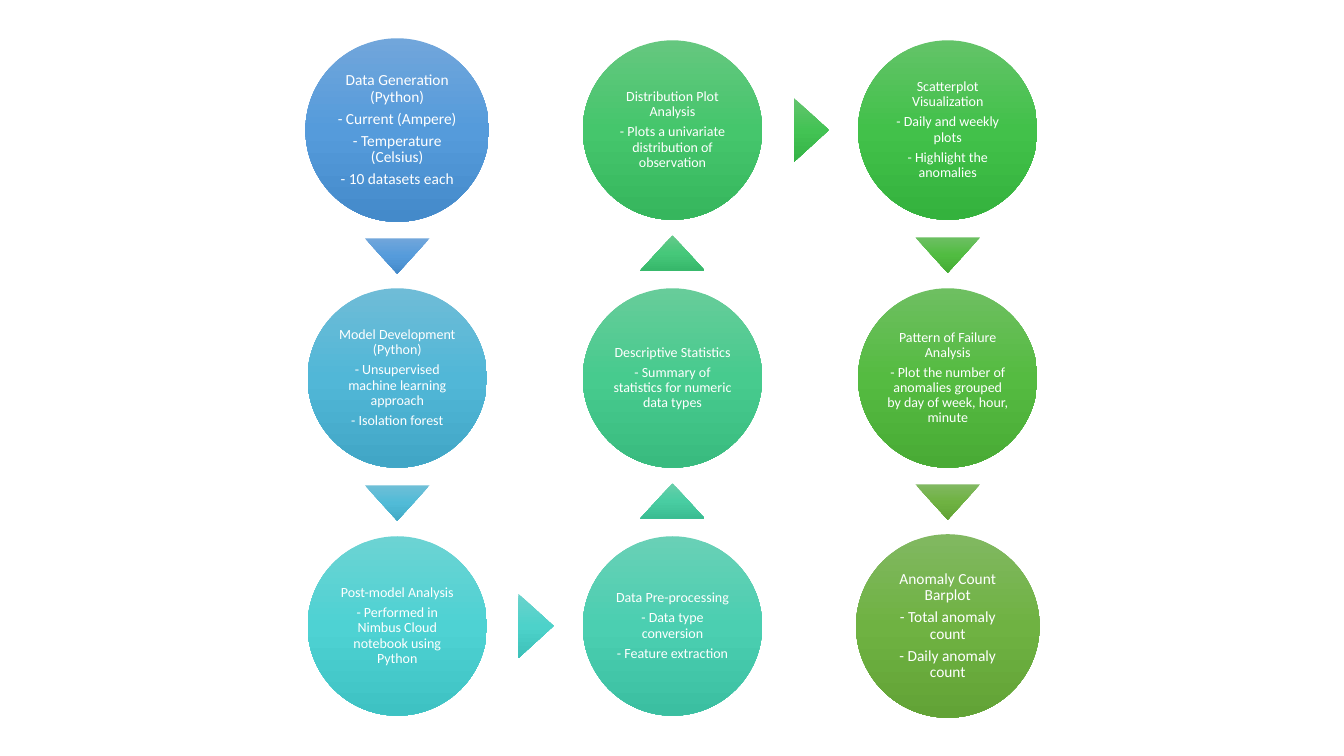
from lxml.etree import SubElement
from pptx import Presentation
from pptx.dml.color import RGBColor
from pptx.enum.shapes import MSO_SHAPE
from pptx.enum.text import MSO_ANCHOR, PP_ALIGN
from pptx.oxml.ns import qn
from pptx.util import Inches, Pt

WHITE = RGBColor(0xFF, 0xFF, 0xFF)
FONT = "Calibri"

# Steps in flow order: diameter, text size, gradient from top to bottom, paragraphs
BIG, SMALL = (1.82, 11), (1.78, 10)
STEPS = [
    (BIG, "71A6DB 559BDB 448ACA",
     ["Data Generation (Python)", "- Current (Ampere)", "- Temperature (Celsius)",
      "- 10 datasets each"]),
    (SMALL, "6FBCD7 51B7D7 41A6C6",
     ["Model Development (Python)", "- Unsupervised machine learning approach",
      "- Isolation forest"]),
    (SMALL, "6CD3D3 4ED2D3 3EC2C3",
     ["Post-model Analysis", "- Performed in Nimbus Cloud notebook using Python"]),
    (SMALL, "69D0B6 4BCFB1 3BBFA1",
     ["Data Pre-processing", "- Data type conversion", "- Feature extraction"]),
    (SMALL, "67CC9A 47CB8E 39BB7F",
     ["Descriptive Statistics", "- Summary of statistics for numeric data types"]),
    (SMALL, "65C77F 45C66C 36B65D",
     ["Distribution Plot Analysis", "- Plots a univariate distribution of observation"]),
    (SMALL, "63C368 42C14A 34B23D",
     ["Scatterplot Visualization", "- Daily and weekly plots", "- Highlight the anomalies"]),
    (SMALL, "6EBF61 55BB41 49AB35",
     ["Pattern of Failure Analysis",
      "- Plot the number of anomalies grouped by day of week, hour, minute"]),
    (BIG, "81B861 6FB242 62A336",
     ["Anomaly Count Barplot", "- Total anomaly count", "- Daily anomaly count"]),
]
# One arrow after each step but the last
ARROWS = [
    "71A6DB 559BDB 448ACA", "6EBFD7 51BBD7 41AAC6", "6BD2CC 4DD2CA 3DC1B9",
    "68CEAA 49CDA2 3ABD92", "66C98A 46C87A 37B86B", "64C46F 43C354 35B346",
    "6CBF62 51BC41 45AC35", "81B861 6FB242 62A336",
]

# Serpentine grid: down the first column, up the second, down the third
ROWS = 3
CENTER_X, CENTER_Y = 6.67, 3.75
COL_PITCH, ROW_PITCH = 2.73, 2.46
ARROW_W, ARROW_H, ARROW_SHIFT = 0.64, 0.35, 0.01


def step_center(i):
    col, row = divmod(i, ROWS)
    if col % 2:
        row = ROWS - 1 - row
    return CENTER_X + (col - 1) * COL_PITCH, CENTER_Y + (row - 1) * ROW_PITCH


def add_gradient_shape(s, kind, center, size, colors):
    (x, y), (w, h) = center, size
    sp = s.shapes.add_shape(kind, Inches(x - w / 2), Inches(y - h / 2), Inches(w), Inches(h))
    sp.shadow.inherit = False
    sp.line.fill.background()
    sp.fill.gradient()
    sp.fill.gradient_angle = 270
    # Three stops, kept upright when the shape turns
    grad = sp.element.spPr.find(qn("a:gradFill"))
    grad.set("rotWithShape", "0")
    stops = grad.find(qn("a:gsLst"))
    for old in list(stops):
        stops.remove(old)
    for pos, color in zip((0, 50000, 100000), colors.split()):
        stop = SubElement(stops, qn("a:gs"), pos=str(pos))
        SubElement(stop, qn("a:srgbClr"), val=color)
    return sp


def write_text(sp, lines, size):
    tf = sp.text_frame
    tf.word_wrap = True
    tf.vertical_anchor = MSO_ANCHOR.MIDDLE
    inset = Inches(0.02 if size > 10 else 0.01)
    tf.margin_left = tf.margin_right = tf.margin_top = tf.margin_bottom = inset
    for n, line in enumerate(lines):
        p = tf.paragraphs[0] if n == 0 else tf.add_paragraph()
        p.alignment = PP_ALIGN.CENTER
        p.line_spacing = 0.9
        p.space_after = Pt(0.35 * size)
        r = p.add_run()
        r.text = line
        r.font.name = FONT
        r.font.size = Pt(size)
        r.font.color.rgb = WHITE


prs = Presentation()
prs.slide_width, prs.slide_height = Inches(13.33), Inches(7.5)
s = prs.slides.add_slide(prs.slide_layouts[6])

# Circles
for i, ((diameter, size), colors, lines) in enumerate(STEPS):
    sp = add_gradient_shape(s, MSO_SHAPE.OVAL, step_center(i), (diameter, diameter), colors)
    write_text(sp, lines, size)

# Arrows, centred in the gap between neighbouring circles
for i, colors in enumerate(ARROWS):
    (x1, y1), (x2, y2) = step_center(i), step_center(i + 1)
    dx = (x2 > x1) - (x2 < x1)
    dy = (y2 > y1) - (y2 < y1)
    # A larger circle pushes the middle of the gap away from itself
    push = (STEPS[i][0][0] - STEPS[i + 1][0][0]) / 4 + ARROW_SHIFT
    center = (x1 + x2) / 2 + dx * push, (y1 + y2) / 2 + dy * push
    sp = add_gradient_shape(s, MSO_SHAPE.ISOSCELES_TRIANGLE, center, (ARROW_W, ARROW_H), colors)
    sp.rotation = 90 if dx else 90 + 90 * dy

prs.save("out.pptx")
